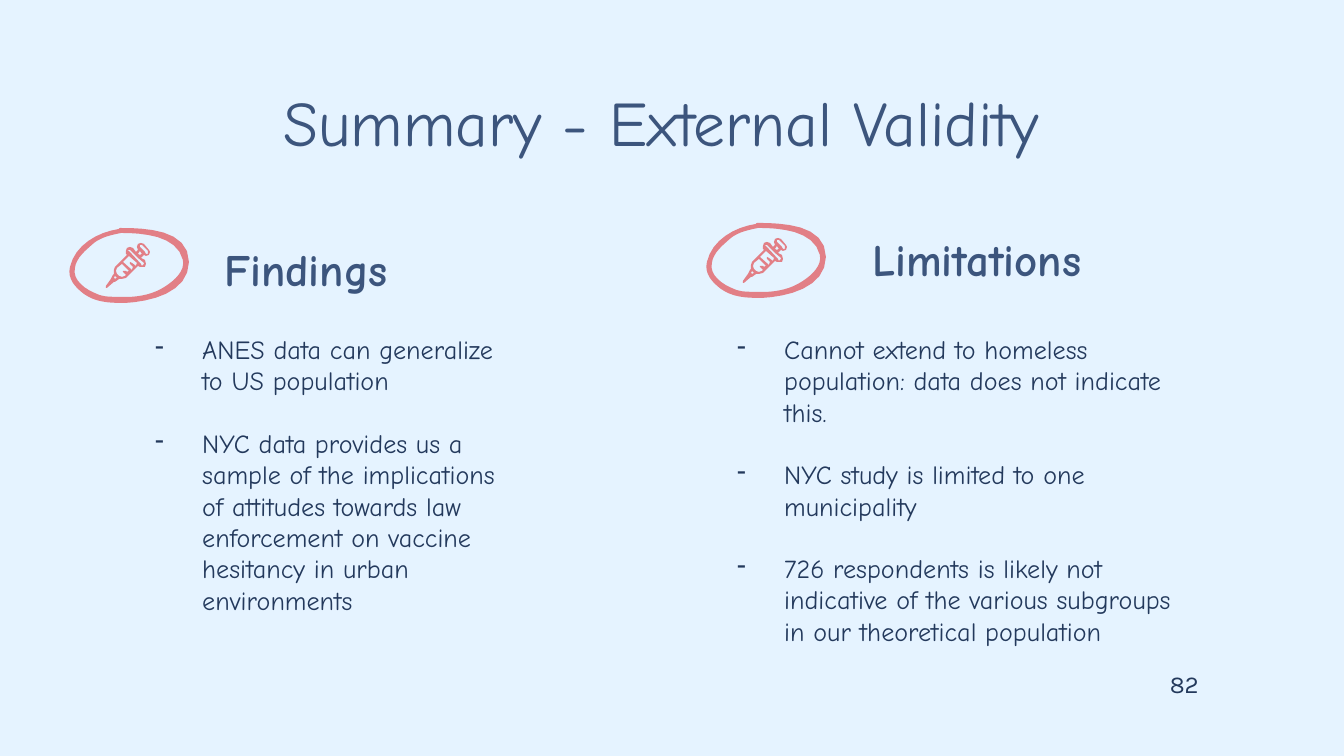
from lxml import etree
from pptx import Presentation
from pptx.dml.color import RGBColor
from pptx.enum.text import MSO_ANCHOR, PP_ALIGN
from pptx.oxml.ns import qn
from pptx.util import Emu, Inches, Pt

LEFT, CENTER, RIGHT = PP_ALIGN.LEFT, PP_ALIGN.CENTER, PP_ALIGN.RIGHT
TOP, MIDDLE = MSO_ANCHOR.TOP, MSO_ANCHOR.MIDDLE

PX = 914400 / 134.4
WIDTH, HEIGHT = 1344, 756
COLORS = {"background": "E5F3FF", "heading": "3C557D", "body": "23395C", "badge": "E27F86"}
FONT, NUMBER_FONT = "Comic Neue", "Karla"
BULLET_MARGIN, BULLET_HANG = 67, 47
BULLET_GAP = Pt(16.6)
CURVE_STEPS = 8

TITLE = ("Summary - External Validity", (67, 79, 1189, 85))
PAGE_NUMBER = ("82", (1132, 656, 80, 58))
COLUMNS = [
    {
        "heading": "Findings",
        "heading_box": (211, 228, 493, 63),
        "badge_at": (67, 228),
        "body_box": (122, 320, 390, 375),
        "bullets": [
            "ANES data can generalize to US population",
            "NYC data provides us a sample of the implications of attitudes towards law "
            "enforcement on vaccine hesitancy in urban environments",
        ],
    },
    {
        "heading": "Limitations",
        "heading_box": (859, 218, 321, 75),
        "badge_at": (704, 223),
        "body_box": (704, 320, 508, 351),
        "bullets": [
            "Cannot extend to homeless population: data does not indicate this.",
            "NYC study is limited to one municipality",
            "726 respondents is likely not indicative of the various subgroups in our "
            "theoretical population",
        ],
    },
]

# Each ring curve: a start point, then cubic segments (control, control, end).
RING_CURVES = [
    [(54, 0), (52, 0), (52, 1), (52, 1), (31, 4), (8, 17), (3, 39), (0, 51), (9, 60), (17, 66),
     (28, 74), (42, 75), (55, 75), (56, 75), (57, 75), (58, 75), (82, 74), (122, 65), (122, 34),
     (122, 1), (77, 0), (54, 0)],
    [(54, 5), (75, 5), (110, 7), (116, 32), (118, 43), (108, 52), (99, 58), (87, 66), (73, 69),
     (59, 69), (58, 69), (55, 69), (54, 69), (46, 69), (36, 69), (30, 66), (19, 62), (5, 52),
     (8, 40), (9, 30), (19, 22), (27, 15), (35, 9), (44, 7), (54, 5)],
]
SYRINGE_CONTOURS = [
    # silhouette
    [(74, 15), (71, 16), (70, 19), (71, 22), (69, 24), (66, 20), (63, 19), (60, 20), (59, 23),
     (59, 26), (60, 27), (48, 39), (47, 42), (47, 46), (46, 47), (44, 51), (39, 58), (39, 60),
     (40, 60), (47, 54), (48, 54), (51, 52), (52, 51), (55, 51), (59, 50), (71, 38), (73, 39),
     (75, 39), (78, 39), (79, 36), (78, 32), (74, 30), (77, 27), (79, 28), (82, 27), (83, 24),
     (82, 22), (77, 16)],
    # plunger head, rod, flange
    [(74, 17), (75, 17), (81, 23), (81, 26), (79, 26), (78, 24), (73, 19), (73, 17)],
    [(73, 23), (75, 26), (73, 27), (71, 26)],
    [(62, 22), (63, 22), (71, 30), (77, 35), (77, 36), (75, 38), (74, 36), (62, 23), (60, 23)],
    # barrel halves, needle hub
    [(62, 28), (70, 35), (69, 38), (65, 35), (63, 34), (63, 36), (66, 39), (65, 42), (56, 34)],
    [(55, 36), (62, 43), (60, 44), (59, 43), (56, 43), (56, 44), (59, 47), (58, 48), (55, 49),
     (52, 48), (50, 46), (49, 43), (50, 40)],
    [(48, 48), (50, 50), (48, 51), (47, 50)],
]


def px(value):
    return Emu(round(value * PX))


def rgb(name):
    return RGBColor.from_string(COLORS[name])


def flatten(curve):
    """Turn a chain of cubic segments into a list of points."""
    points = [curve[0]]
    for index in range(0, len(curve) - 1, 3):
        p0, p1, p2, p3 = curve[index:index + 4]
        for step in range(1, CURVE_STEPS + 1):
            t = step / CURVE_STEPS
            u = 1 - t
            points.append(tuple(
                u**3 * a + 3 * u * u * t * b + 3 * u * t * t * c + t**3 * d
                for a, b, c, d in zip(p0, p1, p2, p3)
            ))
    return points


def add_outline(shapes, contours, origin):
    """Draw closed contours as one filled freeform; inner contours are holes."""
    # Tenths of a px keep the curves smooth.
    scaled = [[(round(x * 10), round(y * 10)) for x, y in contour] for contour in contours]
    builder = shapes.build_freeform(*scaled[0][0], scale=PX / 10)
    for number, contour in enumerate(scaled):
        if number:
            builder.move_to(*contour[0])
        builder.add_line_segments(contour[1:], close=True)
    shape = builder.convert_to_shape(*map(px, origin))
    shape.shadow.inherit = False
    shape.fill.solid()
    shape.fill.fore_color.rgb = rgb("badge")
    shape.line.fill.background()


def add_badge(slide, origin):
    group = slide.shapes.add_group_shape()
    add_outline(group.shapes, SYRINGE_CONTOURS, origin)
    add_outline(group.shapes, [flatten(curve) for curve in RING_CURVES], origin)


def add_text(slide, texts, box, size, color, font=FONT, bold=False, align=LEFT, anchor=TOP):
    text_frame = slide.shapes.add_textbox(*map(px, box)).text_frame
    text_frame.word_wrap = True
    text_frame.vertical_anchor = anchor
    text_frame.margin_top = text_frame.margin_bottom = Inches(0.1)
    text_frame.text = "\n".join(texts)
    for paragraph in text_frame.paragraphs:
        paragraph.alignment = align
        run_font = paragraph.runs[0].font
        run_font.name, run_font.size, run_font.bold = font, Pt(size), bold
        run_font.color.rgb = rgb(color)
    return text_frame


def add_bullets(slide, bullets, box):
    text_frame = add_text(slide, bullets, box, 14, "body")
    for number, paragraph in enumerate(text_frame.paragraphs):
        if number:
            paragraph.space_before = BULLET_GAP
        properties = paragraph._p.get_or_add_pPr()
        properties.set("marL", str(px(BULLET_MARGIN)))
        properties.set("indent", str(-px(BULLET_HANG)))
        bullet_color = etree.SubElement(properties, qn("a:buClr"))
        etree.SubElement(bullet_color, qn("a:srgbClr"), val=COLORS["body"])
        etree.SubElement(properties, qn("a:buChar"), char="-")


presentation = Presentation()
presentation.slide_width, presentation.slide_height = px(WIDTH), px(HEIGHT)
slide = presentation.slides.add_slide(presentation.slide_layouts[6])
slide.background.fill.solid()
slide.background.fill.fore_color.rgb = rgb("background")

title, title_box = TITLE
add_text(slide, [title], title_box, 34, "heading", align=CENTER, anchor=MIDDLE)
for column in COLUMNS:
    add_text(slide, [column["heading"]], column["heading_box"], 24, "heading", bold=True)
    add_badge(slide, column["badge_at"])
    add_bullets(slide, column["bullets"], column["body_box"])
number, number_box = PAGE_NUMBER
add_text(slide, [number], number_box, 13, "body", font=NUMBER_FONT, align=RIGHT)

presentation.save("out.pptx")
